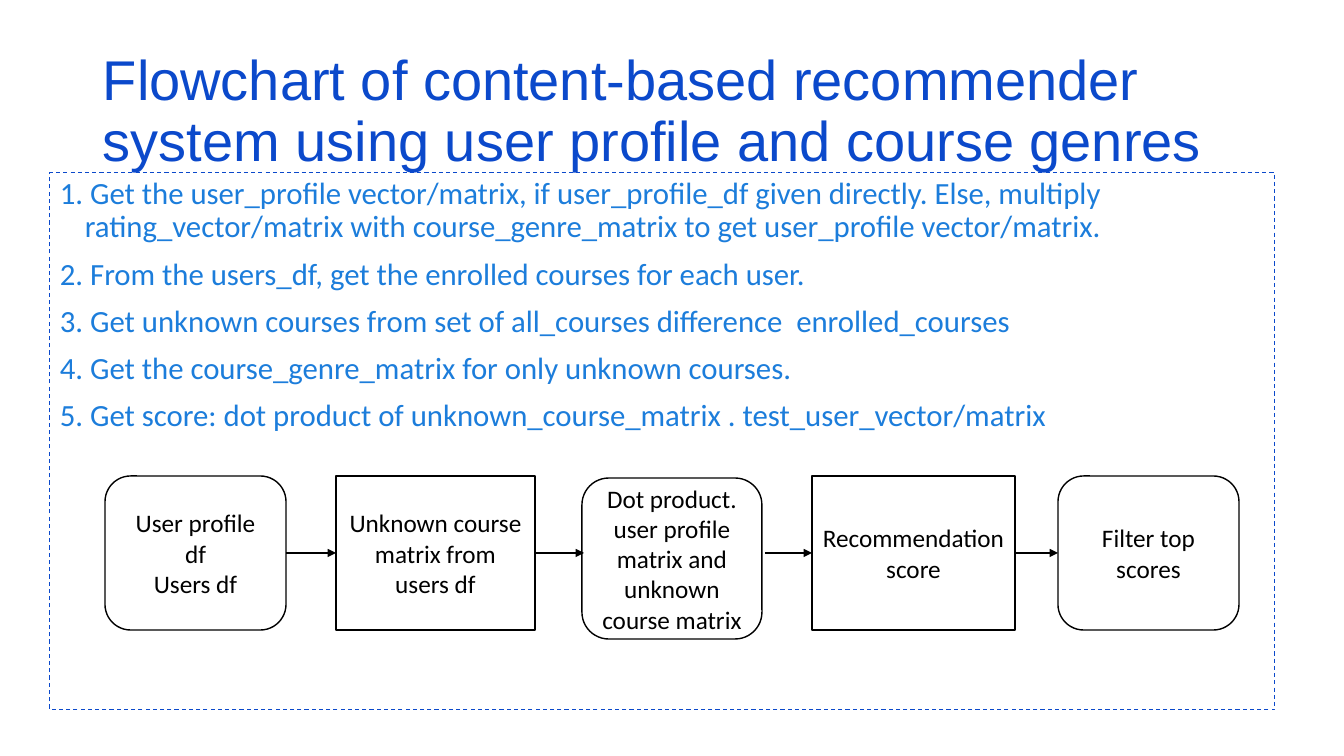
"""Build a slide with the flowchart of a content-based recommender system."""
import pptx
import pptx.dml.color
import pptx.enum.dml
import pptx.enum.shapes
import pptx.enum.text
import pptx.oxml
import pptx.oxml.ns
import pptx.util

TITLE = "Flowchart of content-based recommender system using user profile and course genres"
STEPS = [
    "1. Get the user_profile vector/matrix, if user_profile_df given directly. Else, multiply "
    "rating_vector/matrix with course_genre_matrix to get user_profile vector/matrix.",
    "2. From the users_df, get the enrolled courses for each user.",
    "3. Get unknown courses from set of all_courses difference  enrolled_courses",
    "4. Get the course_genre_matrix for only unknown courses.",
    "5. Get score: dot product of unknown_course_matrix . test_user_vector/matrix",
]
RECT = pptx.enum.shapes.MSO_SHAPE.RECTANGLE
ROUND = pptx.enum.shapes.MSO_SHAPE.ROUNDED_RECTANGLE
BOXES = [
    (ROUND, (105, 476, 181, 154), ["User profile df", "Users df"]),
    (RECT, (336, 476, 199, 154), ["Unknown course matrix from users df"]),
    (ROUND, (582, 478, 180, 161), ["Dot product. user profile matrix and unknown course matrix"]),
    (RECT, (812, 476, 203, 154), ["Recommendation score"]),
    (ROUND, (1058, 476, 181, 154), ["Filter top scores"]),
]
ARROWS = [(288, 334), (537, 584), (765, 810), (1014, 1060)]
ARROW_Y = 553
COLORS = {"title": "0B49CB", "step": "1C7DDB", "ink": "000000", "paper": "FFFFFF"}
ALIGN = pptx.enum.text.PP_ALIGN
ANCHOR = pptx.enum.text.MSO_ANCHOR
TITLE_FORMAT = {"line_spacing": 0.9, "alignment": ALIGN.LEFT}
STEP_FORMAT = {**TITLE_FORMAT, "space_before": pptx.util.Pt(10)}
BOX_FORMAT = {"alignment": ALIGN.CENTER}
HANG = 25


def px(n):
    return pptx.util.Emu(round(n * 914400 / 100.8))


def rgb(name):
    return pptx.dml.color.RGBColor.from_string(COLORS[name])


def write(sp, lines, font, size, color, anchor, formats):
    tf = sp.text_frame
    tf.word_wrap = True
    tf.vertical_anchor = anchor
    for i, line in enumerate(lines):
        p = tf.paragraphs[0] if i == 0 else tf.add_paragraph()
        for key, value in formats.items():
            setattr(p, key, value)
        r = p.add_run()
        r.text = line
        for key, value in {"name": font, "size": pptx.util.Pt(size)}.items():
            setattr(r.font, key, value)
        r.font.color.rgb = rgb(color)


def add_box(s, kind, at, color, width, filled):
    sp = s.shapes.add_shape(kind, *map(px, at))
    sp.shadow.inherit = False
    if filled:
        sp.fill.solid()
        sp.fill.fore_color.rgb = rgb("paper")
    else:
        sp.fill.background()
    sp.line.color.rgb = rgb(color)
    sp.line.width = pptx.util.Pt(width)
    return sp


def add_arrow(s, x1, x2, source, target):
    straight = pptx.enum.shapes.MSO_CONNECTOR.STRAIGHT
    c = s.shapes.add_connector(straight, px(x1), px(ARROW_Y), px(x2), px(ARROW_Y))
    for sp, side, connect in ((source, 3, c.begin_connect), (target, 1, c.end_connect)):
        if sp.top + sp.height // 2 == px(ARROW_Y):
            connect(sp, side)
    c.line.color.rgb = rgb("ink")
    c.line.width = pptx.util.Pt(1.25)
    ns = pptx.oxml.ns.nsdecls("a")
    c.line._get_or_add_ln().append(
        pptx.oxml.parse_xml(f'<a:tailEnd {ns} type="triangle"/>'))
    c._element.spPr.append(pptx.oxml.parse_xml(f"<a:effectLst {ns}/>"))


def main():
    prs = pptx.Presentation()
    prs.slide_width, prs.slide_height = px(1344), px(756)
    s = prs.slides.add_slide(prs.slide_layouts[6])

    title = s.shapes.add_textbox(*map(px, (93, 40, 1159, 146)))
    write(title, [TITLE], "Arial", 40, "title", ANCHOR.MIDDLE, TITLE_FORMAT)

    panel = add_box(s, RECT, (50, 173, 1225, 537), "title", 0.75, False)
    panel.line.dash_style = pptx.enum.dml.MSO_LINE.DASH
    write(panel, STEPS, "Calibri", 22, "step", ANCHOR.TOP, STEP_FORMAT)
    for p in panel.text_frame.paragraphs[:-1]:
        pPr = p._p.get_or_add_pPr()
        pPr.set("marL", str(px(HANG)))
        pPr.set("indent", str(px(-HANG)))

    boxes = []
    for kind, at, lines in BOXES:
        sp = add_box(s, kind, at, "ink", 1, kind == RECT)
        write(sp, lines, "Calibri", 18, "ink", ANCHOR.MIDDLE, BOX_FORMAT)
        boxes.append(sp)
    for (x1, x2), source, target in zip(ARROWS, boxes, boxes[1:]):
        add_arrow(s, x1, x2, source, target)

    prs.save("out.pptx")


if __name__ == "__main__":
    main()
